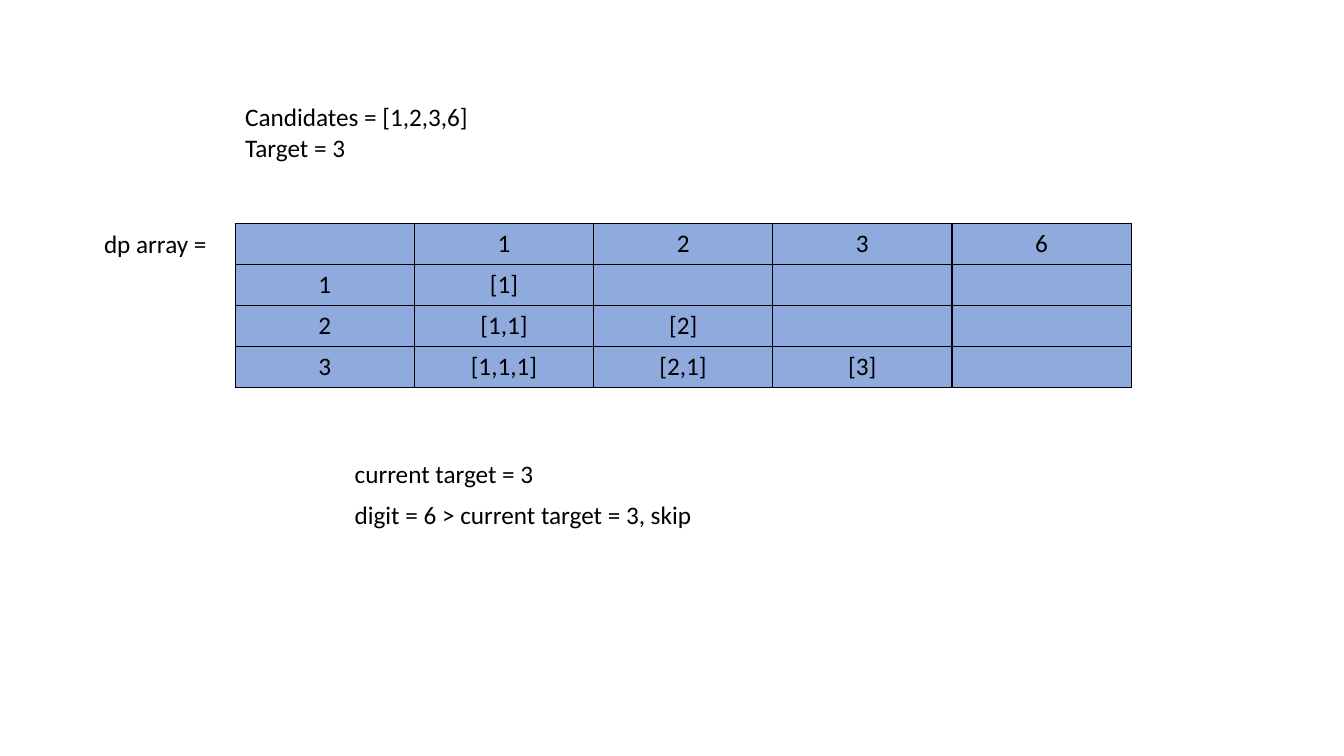
from lxml import etree
from pptx import Presentation
from pptx.dml.color import RGBColor
from pptx.enum.text import MSO_AUTO_SIZE, PP_ALIGN
from pptx.oxml.ns import qn
from pptx.util import Inches, Pt

BLACK = RGBColor(0x00, 0x00, 0x00)
CELL_BLUE = RGBColor(0x8F, 0xAA, 0xDC)
CENTER = PP_ALIGN.CENTER
GROW = MSO_AUTO_SIZE.SHAPE_TO_FIT_TEXT
FONT, SIZE = "Calibri", Pt(18)
BORDER = Pt(1)
SLIDE_W, SLIDE_H = Inches(13.33), Inches(7.5)

DIGITS = ["1", "2", "3", "6"]
COMBINATIONS = {
    "1": ["[1]", "", "", ""],
    "2": ["[1,1]", "[2]", "", ""],
    "3": ["[1,1,1]", "[2,1]", "[3]", ""],
}
LINE_H = 5.4


def share(left, top, width, height):
    """Turn percentages of the slide into a box of lengths."""
    return (int(SLIDE_W * left / 100), int(SLIDE_H * top / 100),
            int(SLIDE_W * width / 100), int(SLIDE_H * height / 100))


def add_run(p, text):
    """Add one run in the slide's text style."""
    r = p.add_run()
    r.text = text
    r.font.name, r.font.size = FONT, SIZE
    r.font.color.rgb = BLACK


def add_lines(s, box, lines):
    """Place a text box with one paragraph for each line."""
    tf = s.shapes.add_textbox(*box).text_frame
    tf.word_wrap = True
    tf.auto_size = GROW
    for i, line in enumerate(lines):
        add_run(tf.add_paragraph() if i else tf.paragraphs[0], line)


def add_borders(cell):
    """Draw a solid line on all four sides of a cell."""
    tc_pr = cell._tc.get_or_add_tcPr()
    for i, side in enumerate("LRTB"):
        ln = etree.Element(qn(f"a:ln{side}"), w=str(BORDER))
        fill = etree.SubElement(ln, qn("a:solidFill"))
        etree.SubElement(fill, qn("a:srgbClr"), val=str(BLACK))
        tc_pr.insert(i, ln)


def add_dp_table(s, box):
    """Fill the box with an even grid of combinations by target and digit."""
    rows = [["", *DIGITS]] + [[target, *found] for target, found in COMBINATIONS.items()]
    table = s.shapes.add_table(len(rows), len(rows[0]), *box).table
    table.first_row = table.horz_banding = False
    for row, texts in zip(table.rows, rows):
        row.height = box[3] // len(rows)
        for cell, text in zip(row.cells, texts):
            cell.fill.solid()
            cell.fill.fore_color.rgb = CELL_BLUE
            add_borders(cell)
            if text:
                p = cell.text_frame.paragraphs[0]
                p.alignment = CENTER
                add_run(p, text)


def add_step(s, left, top, width, lines):
    """Stack the lines of the current step, one text box a row."""
    for i, line in enumerate(lines):
        add_lines(s, share(left, top + i * LINE_H, width, LINE_H), [line])


def build_slide(prs):
    """Lay out the inputs, the dp array and the current step."""
    s = prs.slides.add_slide(prs.slide_layouts[6])
    add_dp_table(s, share(17.5, 29.6, 66.67, 4 * LINE_H))
    add_lines(s, share(17.5, 12.8, 19.65, 9.4), ["Candidates = [1,2,3,6]", "Target = 3"])
    add_lines(s, share(7, 29.6, 10.5, LINE_H), ["dp array = "])
    add_step(s, 25.65, 60, 47.7,
             ["current target = 3", "digit = 6 > current target = 3, skip"])


prs = Presentation()
prs.slide_width, prs.slide_height = SLIDE_W, SLIDE_H
build_slide(prs)
prs.save("out.pptx")
